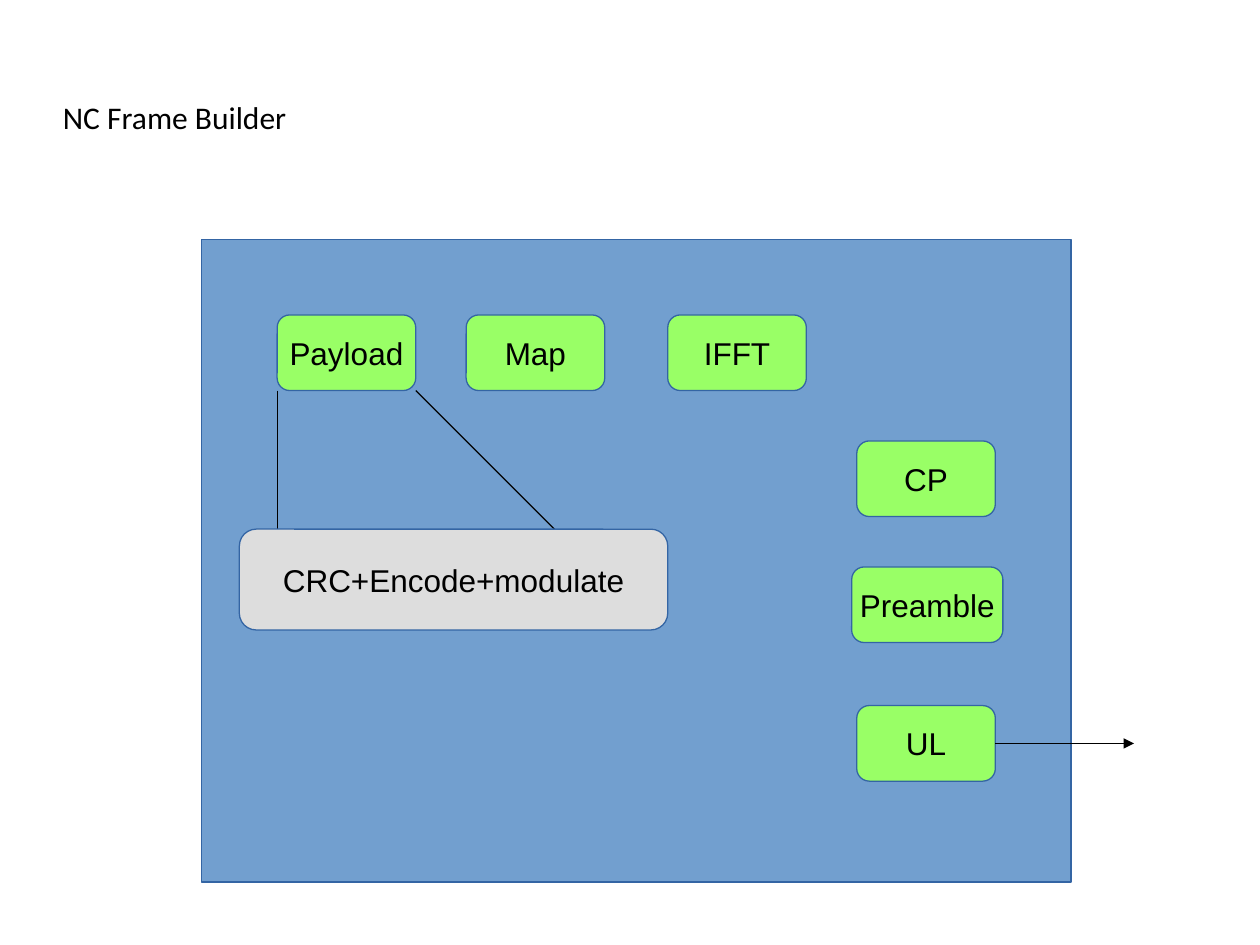
from dataclasses import dataclass

from lxml import etree
from pptx import Presentation
from pptx.dml.color import RGBColor
from pptx.enum.shapes import MSO_CONNECTOR, MSO_SHAPE
from pptx.enum.text import MSO_ANCHOR, PP_ALIGN
from pptx.oxml.ns import qn
from pptx.util import Inches, Pt


@dataclass(frozen=True)
class Theme:
    panel: str = "729FCF"
    stage: str = "99FF66"
    detail: str = "DDDDDD"
    outline: str = "3465A4"
    ink: str = "000000"
    title_font: str = "Calibri"
    label_font: str = "Arial"
    text_size: float = 18
    line_width: float = 0.75
    corner: float = 1 / 6


@dataclass(frozen=True)
class Box:
    """Position and size in grid cells."""
    label: str
    col: float
    row: float
    cols: float = 11
    rows: float = 6
    fill: str = Theme.stage


@dataclass(frozen=True)
class Link:
    start: tuple[float, float]
    end: tuple[float, float]
    arrow: bool = False


THEME = Theme()
CELL = 0.1  # grid cell in inches


def grid(cells: float) -> int:
    return Inches(cells * CELL)


def write(shape, text: str, font: str, align: PP_ALIGN) -> None:
    frame = shape.text_frame
    frame.vertical_anchor = MSO_ANCHOR.MIDDLE
    paragraph = frame.paragraphs[0]
    paragraph.alignment = align
    run = paragraph.add_run()
    run.text = text
    run.font.name = font
    run.font.size = Pt(THEME.text_size)
    run.font.color.rgb = RGBColor.from_string(THEME.ink)


def draw_box(slide, box: Box, preset: MSO_SHAPE) -> None:
    shape = slide.shapes.add_shape(
        preset, grid(box.col), grid(box.row), grid(box.cols), grid(box.rows))
    shape.shadow.inherit = False
    shape.fill.solid()
    shape.fill.fore_color.rgb = RGBColor.from_string(box.fill)
    shape.line.color.rgb = RGBColor.from_string(THEME.outline)
    shape.line.width = Pt(THEME.line_width)
    if preset == MSO_SHAPE.ROUNDED_RECTANGLE:
        shape.adjustments[0] = THEME.corner
    if box.label:
        shape.text_frame.word_wrap = False
        write(shape, box.label, THEME.label_font, PP_ALIGN.CENTER)


def draw_link(slide, link: Link) -> None:
    line = slide.shapes.add_connector(
        MSO_CONNECTOR.STRAIGHT, *map(grid, link.start + link.end))
    line.line.color.rgb = RGBColor.from_string(THEME.ink)
    line.line.width = Pt(THEME.line_width)
    if link.arrow:
        etree.SubElement(line.line._get_or_add_ln(), qn("a:tailEnd"), type="triangle")
    etree.SubElement(line._element.spPr, qn("a:effectLst"))


def draw_title(slide, text: str) -> None:
    title = slide.shapes.add_textbox(grid(5), grid(3), grid(90), grid(12.5))
    frame = title.text_frame
    frame.word_wrap = True
    frame.margin_left = frame.margin_right = frame.margin_top = frame.margin_bottom = 0
    write(title, text, THEME.title_font, PP_ALIGN.LEFT)


PANEL = Box("", 16, 19, 69, 51, THEME.panel)
STAGES = [
    Box("Payload", 22, 25),
    Box("IFFT", 53, 25),
    Box("Map", 37, 25),
    Box("CP", 68, 35),
    Box("Preamble", 67.6, 45, cols=12),
    Box("UL", 68, 56),
]
LINKS = [
    Link((79, 59), (90, 59), arrow=True),
    Link((22, 31), (22, 43)),
    Link((33, 31), (45, 43)),
]
PAYLOAD_DETAIL = Box("CRC+Encode+modulate", 19, 42, 34, 8, THEME.detail)

prs = Presentation()
prs.slide_width, prs.slide_height = Inches(10), Inches(7.5)
slide = prs.slides.add_slide(prs.slide_layouts[6])

# Title and background panel
draw_title(slide, "NC Frame Builder")
draw_box(slide, PANEL, MSO_SHAPE.RECTANGLE)

# Processing stages
for stage in STAGES:
    draw_box(slide, stage, MSO_SHAPE.ROUNDED_RECTANGLE)

# Output arrow and zoom lines, with the payload detail over their ends
for link in LINKS:
    draw_link(slide, link)
draw_box(slide, PAYLOAD_DETAIL, MSO_SHAPE.ROUNDED_RECTANGLE)

prs.save("out.pptx")
